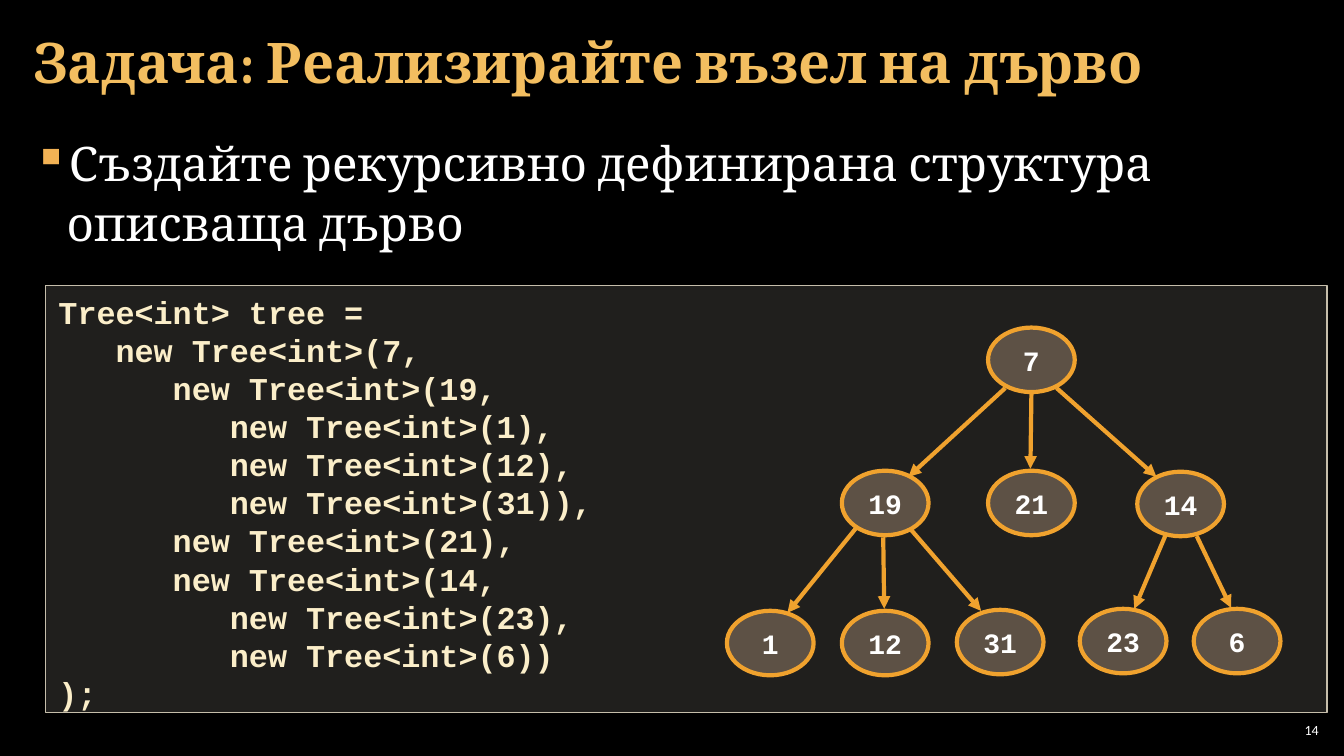
"""Build a slide that shows a recursive tree definition beside its diagram."""
from dataclasses import dataclass

from lxml.etree import SubElement
from pptx import Presentation
from pptx.dml.color import RGBColor
from pptx.enum.shapes import MSO_CONNECTOR as CONN, MSO_SHAPE as SHAPE
from pptx.enum.text import MSO_ANCHOR as ANCHOR, PP_ALIGN as ALIGN
from pptx.oxml.ns import qn
from pptx.util import Inches, Pt

COLORS = {
    "background": "000000",
    "title": "F3BE60",
    "bullet": "F2B254",
    "text": "FFFFFF",
    "code": "FBEEC9",
    "panel": "D9D4C6",
    "panel_line": "C6BEAB",
    "node": "EBC6A3",
    "accent": "F0A22E",
}
NODE_W, NODE_H = 0.86, 0.64
CODE = """Tree<int> tree =
   new Tree<int>(7,
      new Tree<int>(19,
         new Tree<int>(1),
         new Tree<int>(12),
         new Tree<int>(31)),
      new Tree<int>(21),
      new Tree<int>(14,
         new Tree<int>(23),
         new Tree<int>(6))
);"""


@dataclass(frozen=True)
class Style:
    font: str
    size: float
    color: str
    bold: bool = False


@dataclass(frozen=True)
class Node:
    value: str
    x: float
    y: float


@dataclass(frozen=True)
class Edge:
    x1: float
    y1: float
    x2: float
    y2: float


TITLE = Style("Cambria", 40, "title", True)
BODY = Style("Cambria", 34, "text")
LISTING = Style("Courier New", 22.7, "code", True)
LABEL = Style("Courier New", 20, "text", True)
NUMBER = Style("Calibri", 10, "text")

NODES = [
    Node("7", 9.8, 3.25),
    Node("19", 8.35, 4.67),
    Node("21", 9.8, 4.67),
    Node("14", 11.28, 4.68),
    Node("1", 7.21, 6.06),
    Node("12", 8.35, 6.06),
    Node("31", 9.49, 6.05),
    Node("23", 10.71, 6.04),
    Node("6", 11.84, 6.04),
]
EDGES = [
    Edge(9.97, 3.85, 9.01, 4.73),
    Edge(10.23, 3.89, 10.22, 4.65),
    Edge(10.48, 3.85, 11.47, 4.73),
    Edge(8.49, 5.24, 7.81, 6.08),
    Edge(8.76, 5.33, 8.77, 6.04),
    Edge(9.04, 5.26, 9.73, 6.06),
    Edge(11.56, 5.31, 11.25, 6.04),
    Edge(11.87, 5.32, 12.21, 6.03),
]


def rgb(name: str) -> RGBColor:
    return RGBColor.from_string(COLORS[name])


def set_frame(tf, dx: float, dy: float, anchor=ANCHOR.TOP) -> None:
    tf.word_wrap = True
    tf.margin_left = tf.margin_right = Inches(dx)
    tf.margin_top = tf.margin_bottom = Inches(dy)
    tf.vertical_anchor = anchor


def add_run(p, text: str, style: Style) -> None:
    r = p.add_run()
    r.text = text
    r.font.name = style.font
    r.font.size = Pt(style.size)
    r.font.bold = style.bold
    r.font.color.rgb = rgb(style.color)


def add_text(slide, box: tuple, text: str, style: Style, dx: float,
             anchor=ANCHOR.MIDDLE, align=ALIGN.LEFT):
    sp = slide.shapes.add_textbox(*map(Inches, box))
    set_frame(sp.text_frame, dx, 0.04, anchor)
    p = sp.text_frame.paragraphs[0]
    p.alignment = align
    add_run(p, text, style)
    return p


def add_bullet(p) -> None:
    pPr = p._p.get_or_add_pPr()
    pPr.set("marL", str(Inches(0.33)))
    pPr.set("indent", str(Inches(-0.33)))
    color = SubElement(pPr, qn("a:buClr"))
    SubElement(color, qn("a:srgbClr"), val=COLORS["bullet"])
    SubElement(pPr, qn("a:buChar"), char="▪")


def add_outlined(slide, kind, box: tuple, fill: str, alpha: int,
                 line: str, width: float):
    sp = slide.shapes.add_shape(kind, *map(Inches, box))
    sp.shadow.inherit = False
    sp.fill.solid()
    sp.fill.fore_color.rgb = rgb(fill)
    color = sp._element.spPr.find(qn("a:solidFill")).find(qn("a:srgbClr"))
    SubElement(color, qn("a:alpha"), val=str(alpha * 1000))
    sp.line.color.rgb = rgb(line)
    sp.line.width = Pt(width)
    return sp


def add_code(slide) -> None:
    box = (0.45, 2.83, 12.71, 4.24)
    sp = add_outlined(slide, SHAPE.RECTANGLE, box, "panel", 15, "panel_line", 1)
    tf = sp.text_frame
    set_frame(tf, 0.13, 0.07)
    for i, line in enumerate(CODE.splitlines()):
        p = tf.add_paragraph() if i else tf.paragraphs[0]
        p.alignment = ALIGN.LEFT
        add_run(p, line, LISTING)


def add_node(slide, node: Node) -> None:
    box = (node.x, node.y, NODE_W, NODE_H)
    sp = add_outlined(slide, SHAPE.OVAL, box, "node", 30, "accent", 3)
    set_frame(sp.text_frame, 0.13, 0.07, ANCHOR.MIDDLE)
    p = sp.text_frame.paragraphs[0]
    p.alignment = ALIGN.CENTER
    add_run(p, node.value, LABEL)


def add_edge(slide, edge: Edge) -> None:
    ends = map(Inches, (edge.x1, edge.y1, edge.x2, edge.y2))
    cxn = slide.shapes.add_connector(CONN.STRAIGHT, *ends)
    cxn.line.color.rgb = rgb("accent")
    cxn.line.width = Pt(3)
    SubElement(cxn.line._get_or_add_ln(), qn("a:tailEnd"), type="triangle")
    SubElement(cxn._element.spPr, qn("a:effectLst"))


def main() -> None:
    prs = Presentation()
    prs.slide_width, prs.slide_height = Inches(13.33), Inches(7.5)
    slide = prs.slides.add_slide(prs.slide_layouts[6])
    slide.background.fill.solid()
    slide.background.fill.fore_color.rgb = rgb("background")

    p = add_text(slide, (0.21, 0.04, 12.91, 1.21),
                 "Задача: Реализирайте възел на дърво", TITLE, 0.12)
    p.line_spacing = 0.9
    p = add_text(slide, (0.21, 1.26, 12.91, 1.5),
                 "Създайте рекурсивно дефинирана структура описваща дърво",
                 BODY, 0.12, ANCHOR.TOP)
    add_bullet(p)
    p.line_spacing = 1.05
    p.space_after = Pt(6)

    add_code(slide)
    for node in NODES:
        add_node(slide, node)
    for edge in EDGES:
        add_edge(slide, edge)
    add_text(slide, (12.65, 7.14, 0.47, 0.21), "14", NUMBER, 0.04,
             align=ALIGN.RIGHT)
    prs.save("out.pptx")


if __name__ == "__main__":
    main()
